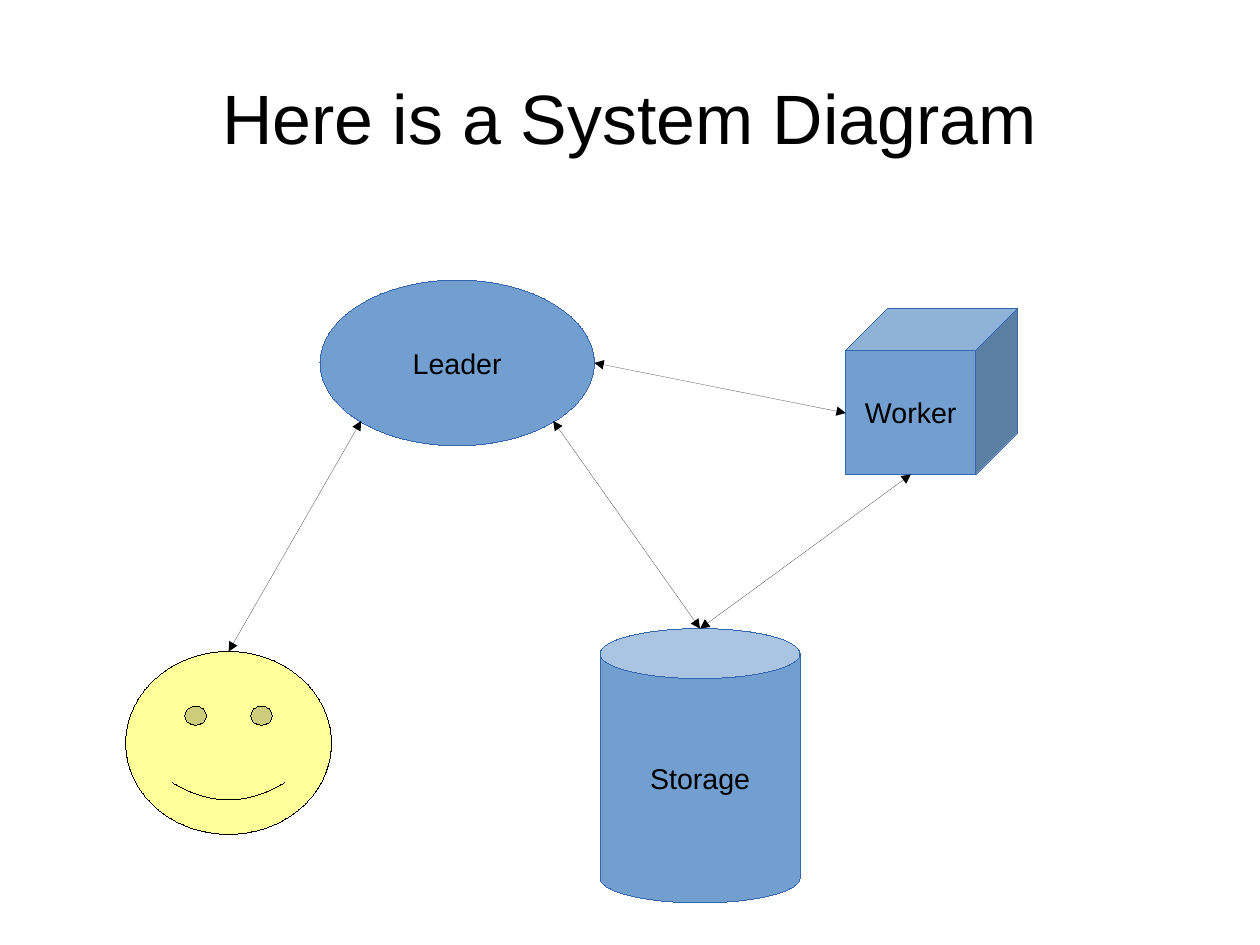
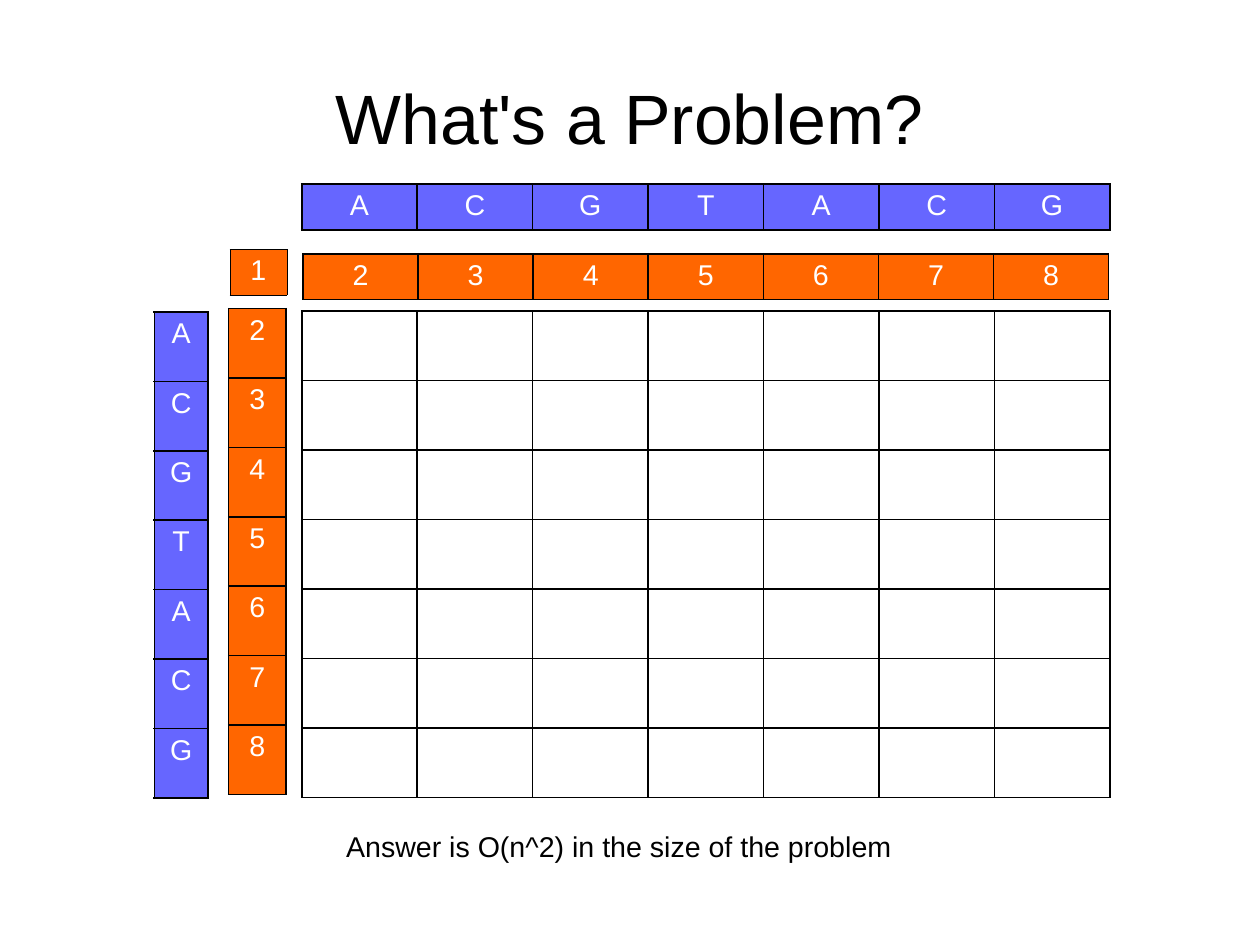
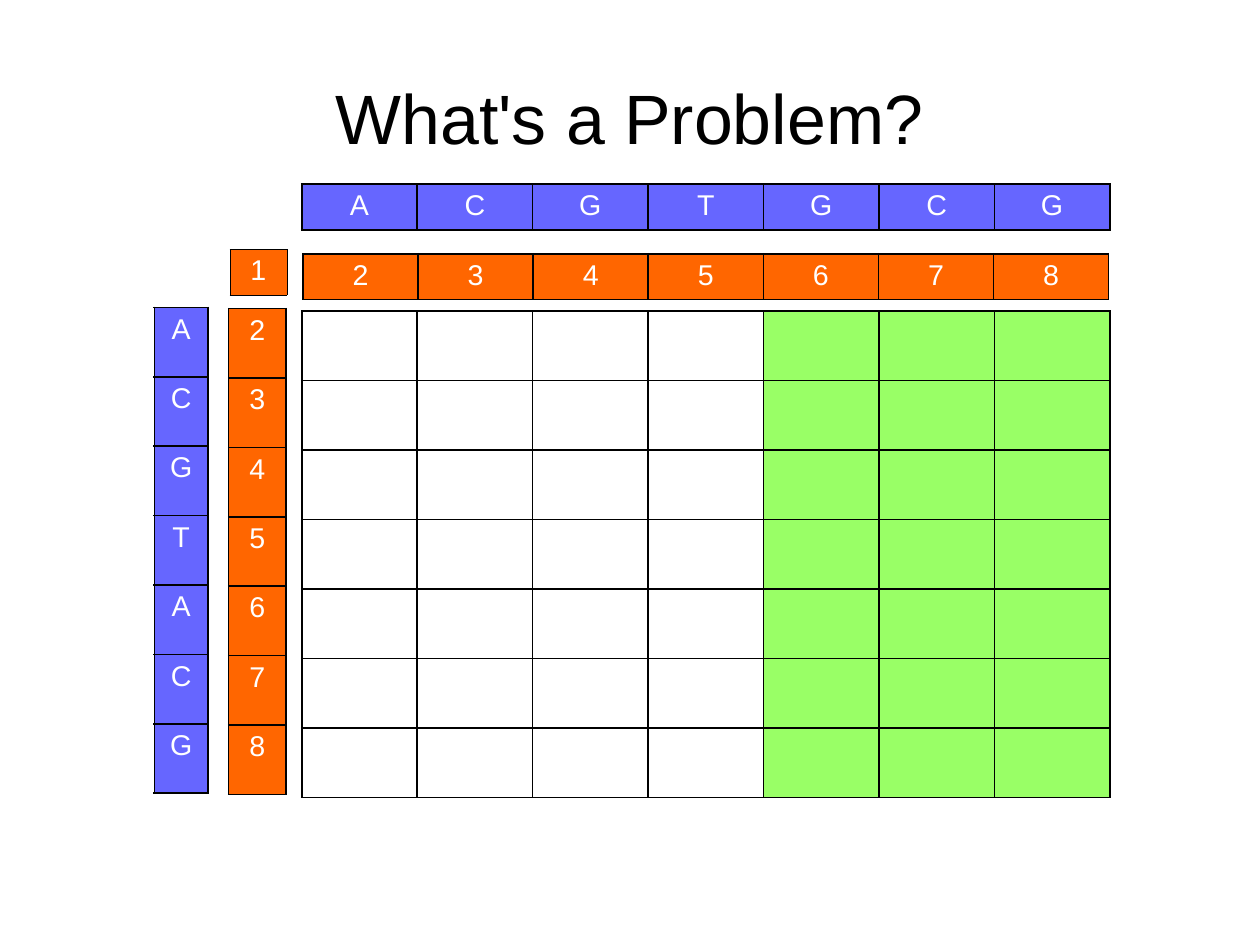
from lxml import etree
from pptx import Presentation, util as u
from pptx.dml.color import RGBColor
from pptx.enum import shapes, text
from pptx.oxml import ns

WIDTH, HEIGHT = u.Cm(28), u.Cm(21)
FONT = "Arial"
BLACK, WHITE = "000000", "FFFFFF"
BLUE, BLUE_EDGE, YELLOW = "729FCF", "3465AF", "FFFF99"
PURPLE, ORANGE, GREEN = "6666FF", "FF6600", "99FF66"

KIND = shapes.MSO_SHAPE
NODES = {
    "storage": (KIND.CAN, "Storage", (5.25, 5.5, 1.75, 2.4), BLUE, BLUE_EDGE),
    "leader": (KIND.OVAL, "Leader", (2.8, 2.45, 2.4, 1.45), BLUE, BLUE_EDGE),
    "worker": (KIND.CUBE, "Worker", (7.4, 2.7, 1.5, 1.45), BLUE, BLUE_EDGE),
    "user": (KIND.SMILEY_FACE, "", (1.1, 5.7, 1.8, 1.6), YELLOW, BLACK),
}
TOP, RIGHT = (0.5, 0), (1, 0.5)
LOWER_LEFT, LOWER_RIGHT = (0.15, 0.85), (0.85, 0.85)
CUBE_LEFT, CUBE_BOTTOM = (0, 0.63), (0.38, 1)
LINKS = [
    ("leader", LOWER_RIGHT, "storage", TOP),
    ("worker", CUBE_BOTTOM, "storage", TOP),
    ("leader", RIGHT, "worker", CUBE_LEFT),
    ("leader", LOWER_LEFT, "user", TOP),
]

NUMBERS = "2345678"
PROBLEMS = [
    dict(across="ACGTACG", down="ACGTACG", down_top=2.73, changed_from=7,
         answer="Answer is O(n^2) in the size of the problem"),
    dict(across="ACGTGCG", down="ACGTACG", down_top=2.69, changed_from=4, answer=""),
]


def rgb(value):
    return RGBColor.from_string(value)


def inches(values):
    return [u.Inches(v) for v in values]


def write(tf, words, size=18, color=BLACK, align=text.PP_ALIGN.CENTER):
    tf.text = words
    p = tf.paragraphs[0]
    p.alignment = align
    for r in p.runs:
        r.font.name, r.font.size = FONT, u.Pt(size)
        r.font.color.rgb = rgb(color)


def add_slide(prs, title):
    s = prs.slides.add_slide(prs.slide_layouts[6])
    margin = int(WIDTH * 0.05)
    box = s.shapes.add_textbox(margin, int(HEIGHT * 0.04), WIDTH - 2 * margin, HEIGHT // 6)
    tf = box.text_frame
    tf.word_wrap = True
    tf.vertical_anchor = text.MSO_ANCHOR.MIDDLE
    tf.margin_left = tf.margin_right = tf.margin_top = tf.margin_bottom = 0
    write(tf, title, 44)
    return s


def hairline(line, color):
    line.color.rgb = rgb(color)
    ln = line._get_or_add_ln()
    ln.set("w", "0")
    return ln


def add_node(s, kind, label, box, fill, edge):
    sp = s.shapes.add_shape(kind, *inches(box))
    sp.shadow.inherit = False
    sp.fill.solid()
    sp.fill.fore_color.rgb = rgb(fill)
    hairline(sp.line, edge)
    if label:
        sp.text_frame.word_wrap = False
        sp.text_frame.vertical_anchor = text.MSO_ANCHOR.MIDDLE
        write(sp.text_frame, label)


def point(node, share):
    left, top, width, height = NODES[node][2]
    return left + width * share[0], top + height * share[1]


def add_link(s, start, start_share, end, end_share):
    ends = point(start, start_share) + point(end, end_share)
    link = s.shapes.add_connector(shapes.MSO_CONNECTOR.STRAIGHT, *inches(ends))
    ln = hairline(link.line, BLACK)
    for tip in ("a:headEnd", "a:tailEnd"):
        etree.SubElement(ln, ns.qn(tip), type="triangle")
    etree.SubElement(link._element.spPr, ns.qn("a:effectLst"))


def add_borders(cell, width):
    tc_pr = cell._tc.get_or_add_tcPr()
    for i, side in enumerate(("a:lnL", "a:lnR", "a:lnT", "a:lnB")):
        ln = etree.Element(ns.qn(side), w=str(int(u.Pt(width))))
        fill = etree.SubElement(ln, ns.qn("a:solidFill"))
        etree.SubElement(fill, ns.qn("a:srgbClr"), val=BLACK)
        tc_pr.insert(i, ln)


def add_grid(s, box, rows, fill_of, border=1.13):
    n_rows, n_cols = len(rows), len(rows[0])
    table = s.shapes.add_table(n_rows, n_cols, *inches(box)).table
    table.first_row = table.horz_banding = False
    for col in table.columns:
        col.width = u.Inches(box[2] / n_cols)
    for y, row in enumerate(rows):
        table.rows[y].height = u.Inches(box[3] / n_rows)
        for x, label in enumerate(row):
            cell = table.cell(y, x)
            cell.fill.solid()
            cell.fill.fore_color.rgb = rgb(fill_of(x))
            add_borders(cell, border)
            if label:
                write(cell.text_frame, label, color=WHITE)


def add_diagram(prs):
    s = add_slide(prs, "Here is a System Diagram")
    for node in NODES.values():
        add_node(s, *node)
    for link in LINKS:
        add_link(s, *link)


def add_problem(prs, across, down, down_top, changed_from, answer):
    s = add_slide(prs, "What's a Problem?")
    empty = [[""] * len(across) for _ in down]
    add_grid(s, (2.64, 2.72, 7.07, 4.26), empty,
             lambda x: GREEN if x >= changed_from else WHITE)
    bands = [
        ((2.65, 2.22, 7.05, 0.38), [NUMBERS], ORANGE, 1.13),
        ((2.64, 1.61, 7.07, 0.4), [across], PURPLE, 1.13),
        ((2, 2.7, 0.5, 4.25), list(NUMBERS), ORANGE, 1.13),
        ((1.35, down_top, 0.47, 4.25), list(down), PURPLE, 1.13),
        ((2.01, 2.18, 0.5, 0.38), ["1"], ORANGE, 0.06),
    ]
    for box, rows, color, border in bands:
        add_grid(s, box, rows, lambda x: color, border)
    if answer:
        tf = s.shapes.add_textbox(*inches((2.93, 7.2, 4.97, 0.38))).text_frame
        tf.word_wrap = False
        write(tf, answer, align=text.PP_ALIGN.LEFT)


def main():
    prs = Presentation()
    prs.slide_width, prs.slide_height = WIDTH, HEIGHT
    add_diagram(prs)
    for problem in PROBLEMS:
        add_problem(prs, **problem)
    prs.save("out.pptx")


if __name__ == "__main__":
    main()
